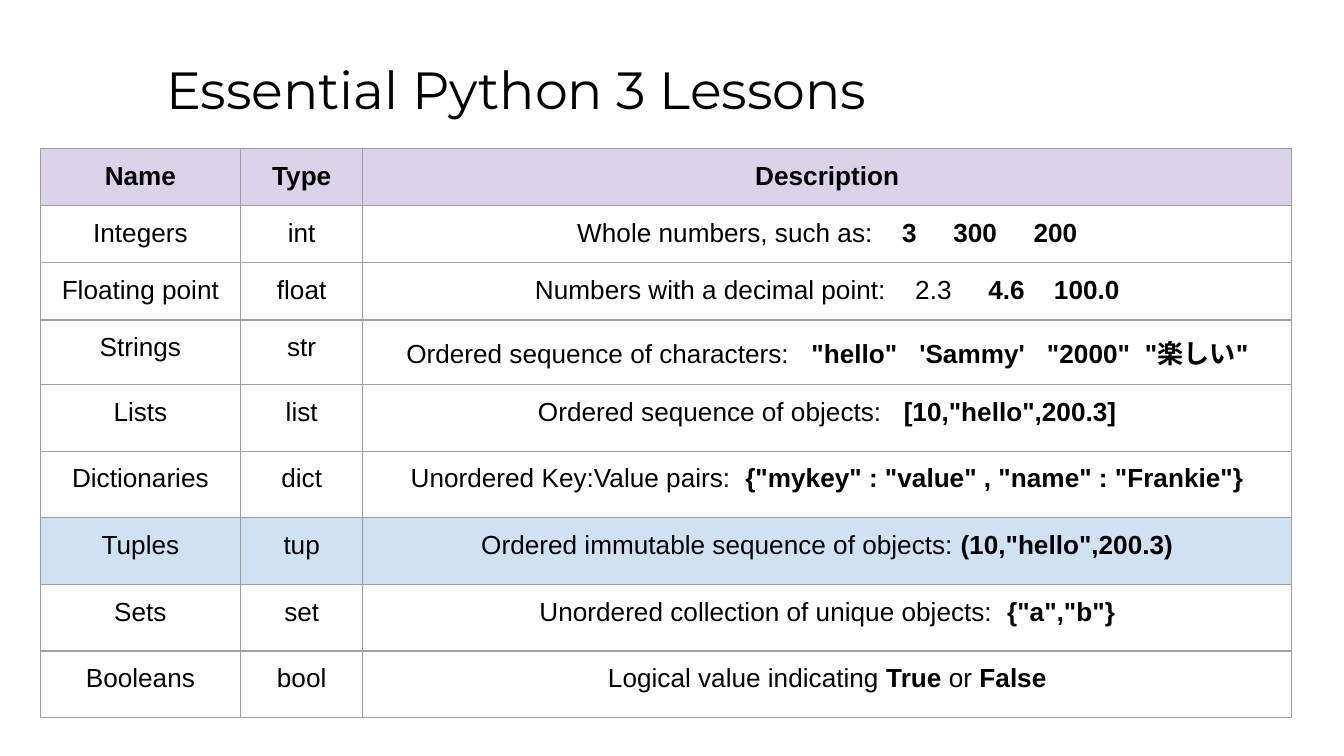
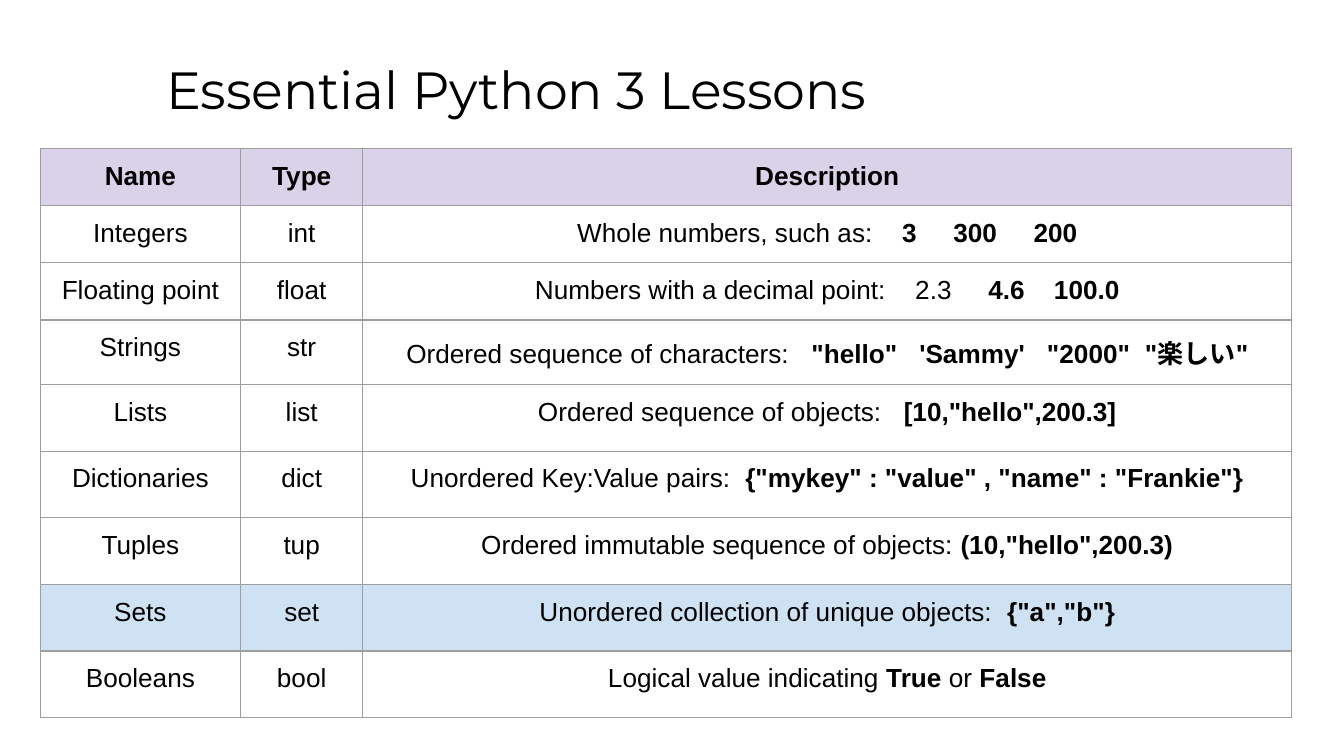
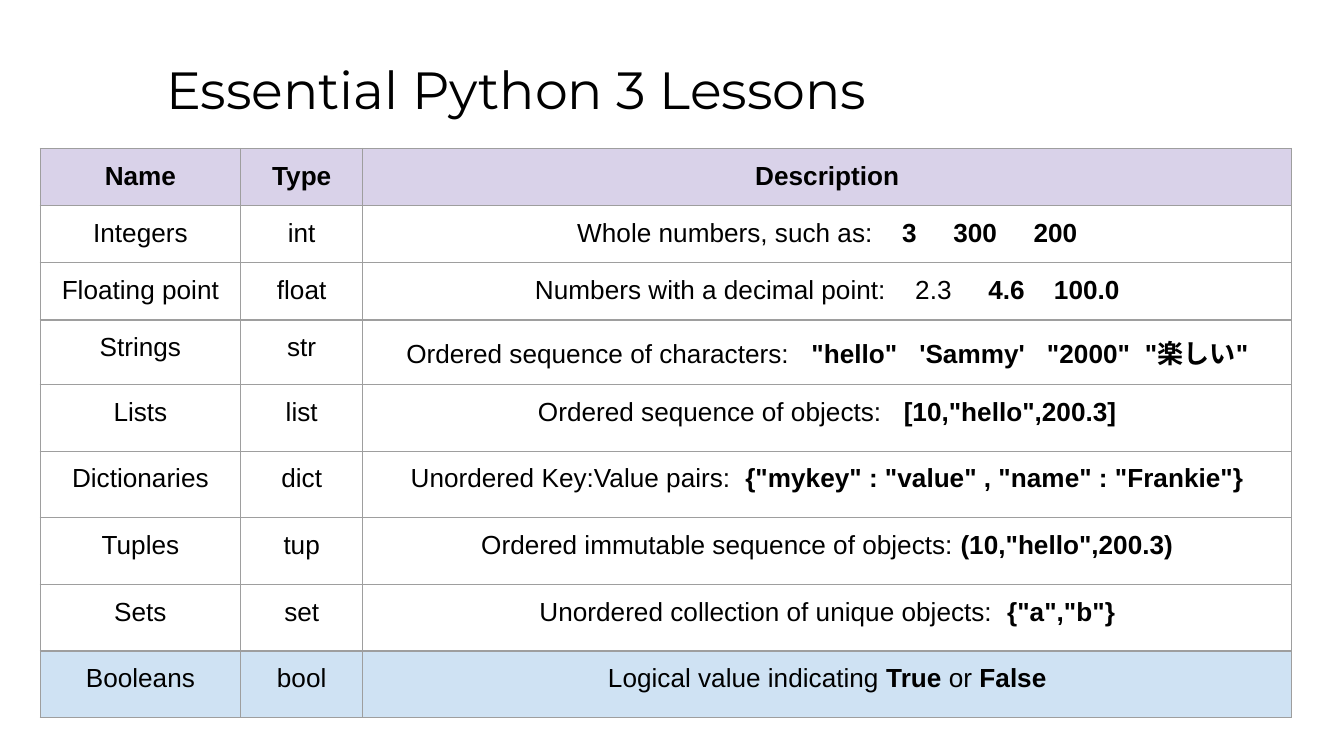
from pptx import Presentation
from pptx.dml.color import RGBColor
from pptx.enum.text import MSO_ANCHOR, PP_ALIGN
from pptx.oxml.ns import qn
from pptx.util import Pt
from lxml.etree import SubElement as Sub

BLACK, GREY = "000000", "9E9E9E"
HEADER_FILL, HIGHLIGHT_FILL = "D9D2E9", "CFE2F3"
TITLE_FONT, BODY_FONT = "Montserrat", "Arial"
TITLE_SIZE, BODY_SIZE = 28, 14
INSET_X, INSET_Y = 7.2, 6.9
BORDER = 0.75
SPACE_WIDTH = 0.28 * BODY_SIZE

TITLE = "Essential Python 3 Lessons"
TITLE_BOX = (82, 23.7, 613.5, 45.5)
TABLE_BOX = (21.6, 79.6, 670.4, 304)
COL_WIDTHS = (107.3, 65.5, 497.6)
ROW_HEIGHTS = (28, 26, 23, 34.6) + (35.7,) * 5

ROWS = [
    ("*Name", "*Type", ["*Description"]),
    ("Integers", "int",
     ["Whole numbers, such as:", 4, "*3", 5, "*300", 5, "*200"]),
    ("Floating point", "float",
     ["Numbers with a decimal point:", 4, "2.3", 5, "*4.6", 4, "*100.0"]),
    ("Strings", "str",
     ["Ordered sequence of characters:", 3, '*"hello"', 3, "*'Sammy'", 3,
      '*"2000"', 2, '*"楽しい"']),
    ("Lists", "list",
     ["Ordered sequence of objects:", 3, '*[10,"hello",200.3]']),
    ("Dictionaries", "dict",
     ["Unordered Key:Value pairs:", 2,
      '*{"mykey" : "value" , "name" : "Frankie"}']),
    ("Tuples", "tup",
     ["Ordered immutable sequence of objects: ", '*(10,"hello",200.3)']),
    ("Sets", "set",
     ["Unordered collection of unique objects:", 2, '*{"a","b"}']),
    ("Booleans", "bool",
     ["Logical value indicating ", "*True ", "or ", "*False"]),
]
HIGHLIGHTS = ("Tuples", "Sets", "Booleans")


def rgb(color):
    return RGBColor.from_string(color)


def set_font(font, name, size):
    font.name = name
    font.size = Pt(size)
    font.color.rgb = rgb(BLACK)


def set_margins(frame):
    frame.margin_left = frame.margin_right = Pt(INSET_X)
    frame.margin_top = frame.margin_bottom = Pt(INSET_Y)


def add_title(s, box):
    tf = s.shapes.add_textbox(*map(Pt, box)).text_frame
    tf.word_wrap = True
    set_margins(tf)
    p = tf.paragraphs[0]
    p.text = TITLE
    set_font(p.font, TITLE_FONT, TITLE_SIZE)


def set_borders(cell):
    tc_pr = cell._tc.get_or_add_tcPr()
    for side in ("a:lnL", "a:lnR", "a:lnT", "a:lnB"):
        ln = Sub(tc_pr, qn(side), w=str(Pt(BORDER)))
        Sub(Sub(ln, qn("a:solidFill")), qn("a:srgbClr"), val=GREY)


def add_gap(p, spaces):
    r = p.add_run()
    r.text = " "
    extra = (spaces - 1) * SPACE_WIDTH
    r._r.get_or_add_rPr().set("spc", str(round(extra * 100)))


def add_text(p, marked_text):
    r = p.add_run()
    r.text = marked_text.removeprefix("*")
    r.font.bold = marked_text.startswith("*")


def fill_cell(cell, parts, fill):
    set_margins(cell)
    cell.vertical_anchor = MSO_ANCHOR.TOP
    set_borders(cell)
    if fill:
        cell.fill.solid()
        cell.fill.fore_color.rgb = rgb(fill)
    else:
        cell.fill.background()
    p = cell.text_frame.paragraphs[0]
    p.alignment = PP_ALIGN.CENTER
    set_font(p.font, BODY_FONT, BODY_SIZE)
    for part in parts:
        add_part = add_gap if isinstance(part, int) else add_text
        add_part(p, part)


def add_type_table(s, box, highlight):
    table = s.shapes.add_table(len(ROWS), len(COL_WIDTHS), *map(Pt, box)).table
    table.first_row = table.horz_banding = False
    for col, width in zip(table.columns, COL_WIDTHS):
        col.width = Pt(width)
    for row, height, (name, kind, description) in zip(table.rows, ROW_HEIGHTS, ROWS):
        row.height = Pt(height)
        fill = {"*Name": HEADER_FILL, highlight: HIGHLIGHT_FILL}.get(name)
        for cell, parts in zip(row.cells, ([name], [kind], description)):
            fill_cell(cell, parts, fill)


def main():
    prs = Presentation()
    prs.slide_width, prs.slide_height = Pt(720), Pt(405)
    for highlight in HIGHLIGHTS:
        s = prs.slides.add_slide(prs.slide_layouts[6])
        add_title(s, TITLE_BOX)
        add_type_table(s, TABLE_BOX, highlight)
    prs.save("out.pptx")


if __name__ == "__main__":
    main()
